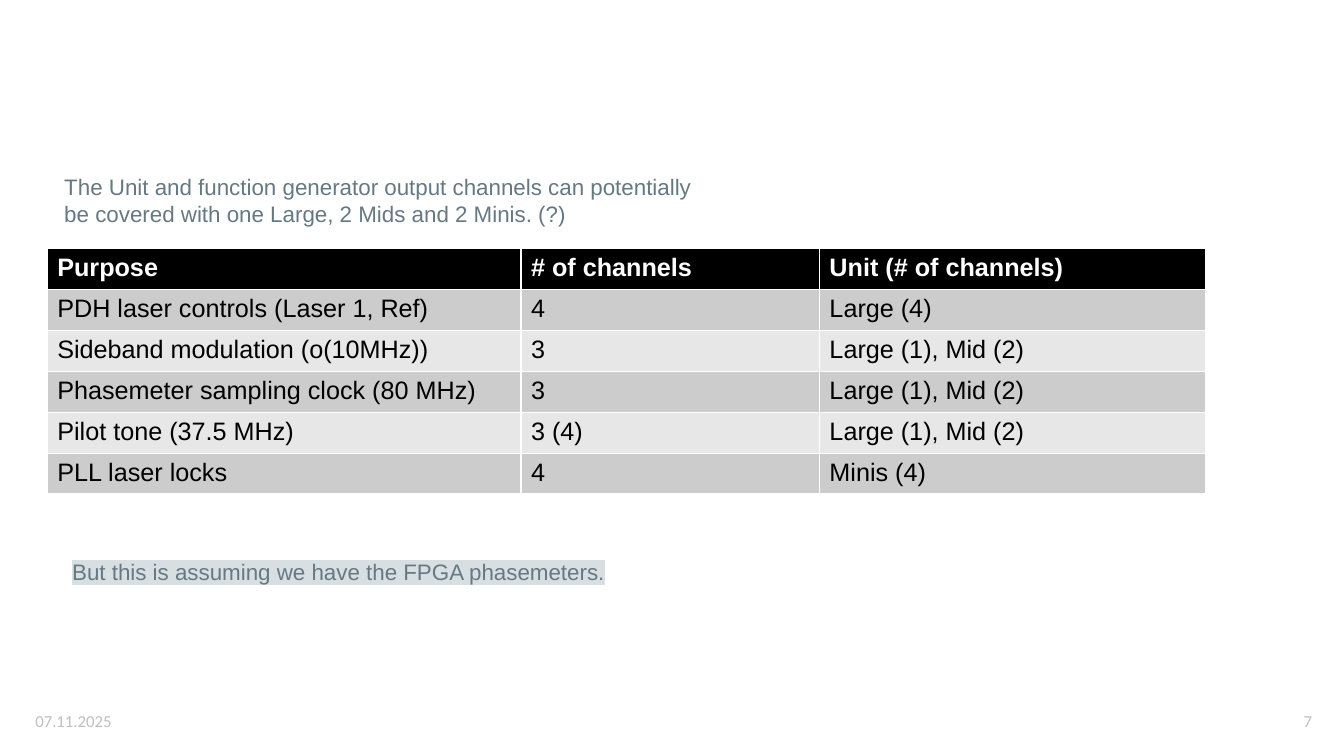
from dataclasses import dataclass

from lxml import etree
from pptx import Presentation
from pptx.dml.color import RGBColor
from pptx.enum.text import MSO_ANCHOR, PP_ALIGN
from pptx.oxml.ns import qn
from pptx.util import Cm, Pt

LEFT, RIGHT = PP_ALIGN.LEFT, PP_ALIGN.RIGHT
TOP, MIDDLE = MSO_ANCHOR.TOP, MSO_ANCHOR.MIDDLE

CHANNELS = [
    ("Purpose", "# of channels", "Unit (# of channels)"),
    ("PDH laser controls (Laser 1, Ref)", "4", "Large (4)"),
    ("Sideband modulation (o(10MHz))", "3", "Large (1), Mid (2)"),
    ("Phasemeter sampling clock (80 MHz)", "3", "Large (1), Mid (2)"),
    ("Pilot tone (37.5 MHz)", "3 (4)", "Large (1), Mid (2)"),
    ("PLL laser locks", "4", "Minis (4)"),
]
INTRODUCTION = (
    "The Unit and function generator output channels can potentially "
    "be covered with one Large, 2 Mids and 2 Minis. (?)"
)
CAVEAT = "But this is assuming we have the FPGA phasemeters."
DATE, PAGE = "07.11.2025", "7"

SLIDE_SIZE = (33.87, 19.05)
TABLE_LEFT, TABLE_TOP, ROW_HEIGHT = 1.19, 6.27, 1.03
COLUMN_WIDTHS = (11.94, 7.52, 9.73)
FOOTER_TOP, FOOTER_WIDTH, FOOTER_HEIGHT = 17.65, 7.62, 1.02
NOTE_WIDTH = 16.94


@dataclass(frozen=True)
class Theme:
    body_font: str = "Arial"
    footer_font: str = "Calibri"
    table_size: int = 18
    note_size: int = 16
    footer_size: int = 12
    header_fill: str = "000000"
    header_text: str = "FFFFFF"
    cell_text: str = "000000"
    bands: tuple = ("E7E7E7", "CCCCCC")
    note: str = "667982"
    highlight: str = "D8DFE3"
    footer: str = "BFBFBF"


THEME = Theme()


def format_font(font, name, size, color, bold=False):
    font.name = name
    font.size = Pt(size)
    font.bold = bold
    font.color.rgb = RGBColor.from_string(color)


def add_text(slide, text, box, name, size, color, align=LEFT, anchor=TOP):
    shape = slide.shapes.add_textbox(*(Cm(length) for length in box))
    frame = shape.text_frame
    frame.word_wrap = True
    frame.vertical_anchor = anchor
    paragraph = frame.paragraphs[0]
    paragraph.text = text
    paragraph.alignment = align
    format_font(paragraph.font, name, size, color)
    return paragraph


def add_note(slide, text, left, top, height):
    box = (left, top, NOTE_WIDTH, height)
    return add_text(slide, text, box, THEME.body_font, THEME.note_size, THEME.note)


def add_footer(slide, text, left, align):
    box = (left, FOOTER_TOP, FOOTER_WIDTH, FOOTER_HEIGHT)
    add_text(slide, text, box, THEME.footer_font, THEME.footer_size,
             THEME.footer, align, MIDDLE)


def highlight_paragraph(paragraph, color):
    for run in paragraph.runs:
        properties = run.font._element
        highlight = etree.SubElement(properties, qn("a:highlight"))
        etree.SubElement(highlight, qn("a:srgbClr"), val=color)


def add_channel_table(slide):
    table = slide.shapes.add_table(
        len(CHANNELS), len(COLUMN_WIDTHS), Cm(TABLE_LEFT), Cm(TABLE_TOP),
        Cm(sum(COLUMN_WIDTHS)), Cm(ROW_HEIGHT * len(CHANNELS)),
    ).table
    for column, width in zip(table.columns, COLUMN_WIDTHS):
        column.width = Cm(width)
    for index, values in enumerate(CHANNELS):
        is_header = index == 0
        fill = THEME.header_fill if is_header else THEME.bands[index % 2]
        color = THEME.header_text if is_header else THEME.cell_text
        for cell, value in zip(table.rows[index].cells, values):
            cell.text = value
            cell.fill.solid()
            cell.fill.fore_color.rgb = RGBColor.from_string(fill)
            format_font(cell.text_frame.paragraphs[0].font, THEME.body_font,
                        THEME.table_size, color, is_header)


def main():
    presentation = Presentation()
    presentation.slide_width, presentation.slide_height = map(Cm, SLIDE_SIZE)
    slide = presentation.slides.add_slide(presentation.slide_layouts.get_by_name("Blank"))
    add_channel_table(slide)
    add_footer(slide, DATE, 0.64, LEFT)
    add_footer(slide, PAGE, 25.7, RIGHT)
    add_note(slide, INTRODUCTION, 1.37, 4.24, 1.63)
    highlight_paragraph(add_note(slide, CAVEAT, 1.57, 13.94, 0.94), THEME.highlight)
    presentation.save("out.pptx")


if __name__ == "__main__":
    main()
